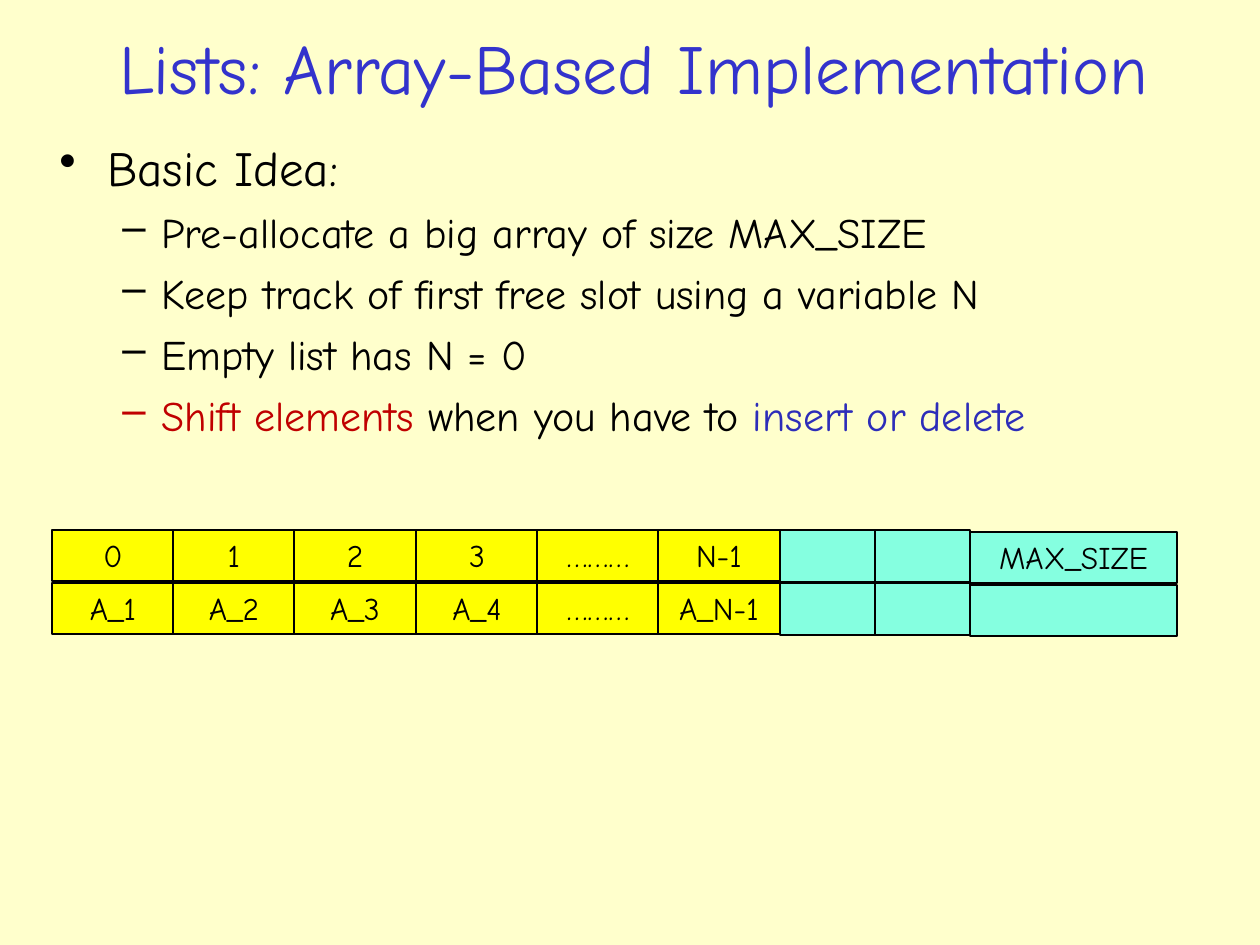
import pptx
import pptx.util
import pptx.dml.color
import pptx.enum.shapes
import pptx.enum.text
import pptx.oxml.ns
from lxml import etree

PX = 914400 // 126
COLORS = {"back": "FFFFCC", "title": "3333CC", "text": "000000", "red": "C00000",
          "blue": "2D2DB9", "used": "FFFF00", "free": "85FFE0"}
ALIGN = pptx.enum.text.PP_ALIGN
ANCHOR = pptx.enum.text.MSO_ANCHOR


def rgb(name):
    return pptx.dml.color.RGBColor.from_string(COLORS[name])


class Deck:
    font = "Comic Neue"

    def __init__(self, prs):
        self.slide = prs.slides.add_slide(prs.slide_layouts[5])
        fill = self.slide.background.fill
        fill.solid()
        fill.fore_color.rgb = rgb("back")

    def set_all(self, obj, values):
        for name, value in values.items():
            setattr(obj, name, value)

    def place(self, sp, *box):
        names = ("left", "top", "width", "height")
        self.set_all(sp, {n: v * PX for n, v in zip(names, box)})

    def run(self, p, text, size, color):
        r = p.add_run()
        r.text = text
        self.set_all(r.font, {"name": self.font, "size": pptx.util.Pt(size), "bold": False})
        r.font.color.rgb = rgb(color)

    def title(self, text, *box):
        sp = self.slide.shapes.title
        self.place(sp, *box)
        tf = sp.text_frame
        self.set_all(tf, {"word_wrap": True, "vertical_anchor": ANCHOR.MIDDLE,
                          "auto_size": pptx.enum.text.MSO_AUTO_SIZE.NONE})
        p = tf.paragraphs[0]
        p.alignment = ALIGN.CENTER
        self.run(p, text, 40, "title")

    def bullets(self, items, *box):
        tf = self.slide.shapes.add_textbox(*(v * PX for v in box)).text_frame
        tf.word_wrap = True
        # Per level: mark, size, space before, left margin, hanging indent
        levels = [("•", 28, 7, 48, 48), ("–", 24, 6, 102, 39)]
        for i, (level, runs) in enumerate(items):
            mark, size, before, margin, hang = levels[level]
            p = tf.add_paragraph() if i else tf.paragraphs[0]
            self.set_all(p, {"level": level, "space_before": pptx.util.Pt(before)})
            for text, color in runs:
                self.run(p, text, size, color)
            self.bullet(p, mark, runs[0][1], margin, hang)

    def bullet(self, p, mark, color, margin, hang):
        qn = pptx.oxml.ns.qn
        pPr = p._p.get_or_add_pPr()
        pPr.set("marL", str(margin * PX))
        pPr.set("indent", str(-hang * PX))
        clr = etree.SubElement(pPr, qn("a:buClr"))
        etree.SubElement(clr, qn("a:srgbClr"), val=COLORS[color])
        etree.SubElement(pPr, qn("a:buChar"), char=mark)

    def cell(self, text, color, *box):
        sp = self.slide.shapes.add_shape(
            pptx.enum.shapes.MSO_SHAPE.RECTANGLE, *(v * PX for v in box))
        sp.shadow.inherit = False
        sp.fill.solid()
        sp.fill.fore_color.rgb = rgb(color)
        sp.line.color.rgb = rgb("text")
        sp.line.width = pptx.util.Pt(0.75)
        if text:
            tf = sp.text_frame
            self.set_all(tf, {"word_wrap": True, "vertical_anchor": ANCHOR.TOP})
            p = tf.paragraphs[0]
            p.alignment = ALIGN.CENTER
            self.run(p, text, 18, "text")


def main():
    prs = pptx.Presentation()
    prs.slide_width, prs.slide_height = pptx.util.Inches(10), pptx.util.Inches(7.5)
    deck = Deck(prs)

    # Title and main points
    deck.title("Lists: Array-Based Implementation", 44, 19, 1179, 96)
    deck.bullets([
        (0, [("Basic Idea:", "text")]),
        (1, [("Pre-allocate a big array of size MAX_SIZE", "text")]),
        (1, [("Keep track of first free slot using a variable N", "text")]),
        (1, [("Empty list has N = 0", "text")]),
        (1, [("Shift elements ", "red"), ("when you have to ", "text"),
             ("insert or delete", "blue")]),
    ], 47, 131, 1164, 359)

    # Array: indices above, elements below
    rows = [(530, ["0", "1", "2", "3", "………", "N-1"], "MAX_SIZE"),
            (583, ["A_1", "A_2", "A_3", "A_4", "………", "A_N-1"], "")]
    for top, used, last in rows:
        for i, text in enumerate(used):
            deck.cell(text, "used", 52 + 121 * i + i // 3, top, 122, 51)
        for i in range(2):
            deck.cell("", "free", 780 + 95 * i, top, 95, 52)
        deck.cell(last, "free", 970, top + 2, 207, 51)

    prs.save("out.pptx")


if __name__ == "__main__":
    main()
